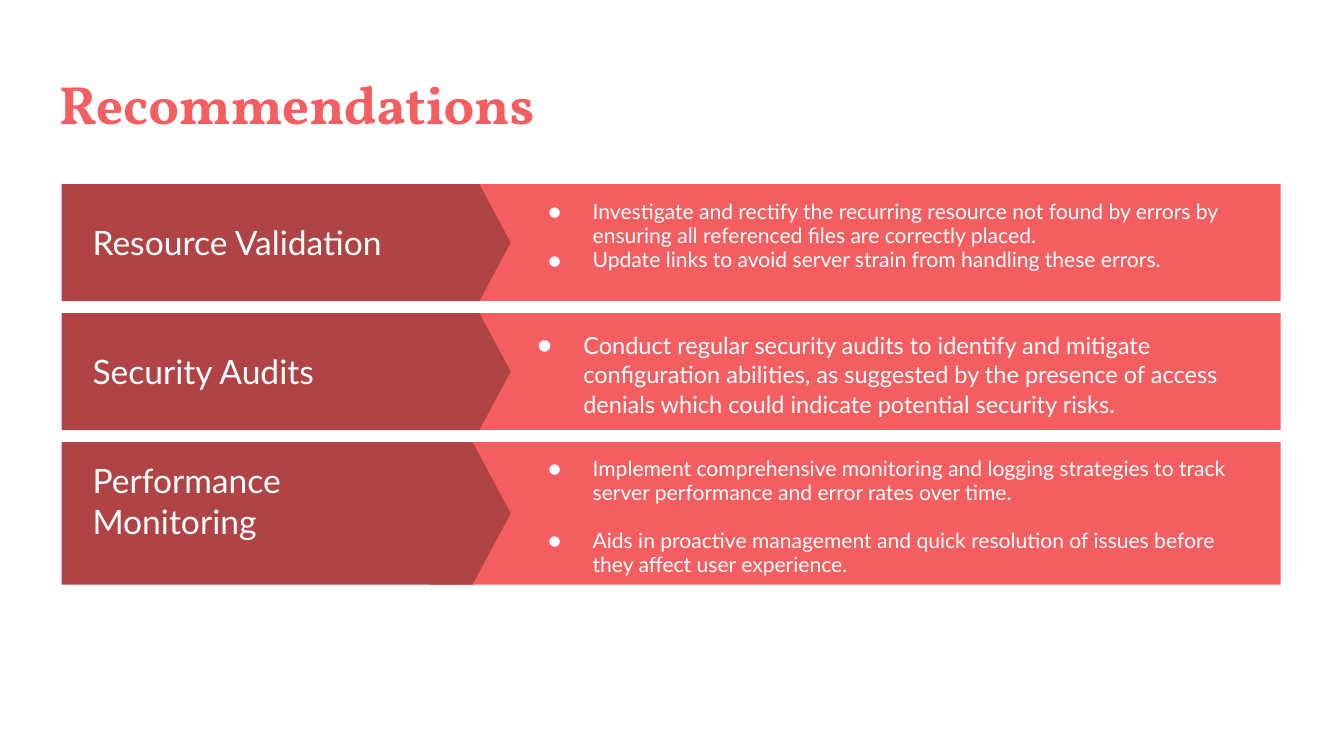
from lxml import etree
from pptx import Presentation, util as u
from pptx.dml.color import RGBColor
from pptx.enum import shapes, text
from pptx.oxml.ns import qn

# Content: label, points, row height and list format
TITLE = "Recommendations"
SMALL = {"size": 11.3, "line": 0.95, "hang": 0.33, "left": 3.81}
LARGE = {"size": 12.6, "line": 1.05, "hang": 0.34, "left": 3.74}
ROWS = [
    {"label": "Resource Validation", "height": 0.87, "list_height": 0.78,
     "gap": 0, "style": SMALL, "points": [
         "Investigate and rectify the recurring resource not found by errors by "
         "ensuring all referenced files are correctly placed.",
         "Update links to avoid server strain from handling these errors."]},
    {"label": "Security Audits", "height": 0.87, "list_height": 0.9,
     "gap": 0, "style": LARGE, "points": [
         "Conduct regular security audits to identify and mitigate configuration "
         "abilities, as suggested by the presence of access denials which could "
         "indicate potential security risks."]},
    {"label": "Performance Monitoring", "height": 1.06, "list_height": 1.12,
     "gap": 12.9, "style": SMALL, "points": [
         "Implement comprehensive monitoring and logging strategies to track "
         "server performance and error rates over time.",
         "Aids in proactive management and quick resolution of issues before "
         "they affect user experience."]},
]

# Grid: (left, width) of each column, in inches
SLIDE_WIDTH = 10
SLIDE_HEIGHT = SLIDE_WIDTH * 9 / 16
BAND, ARROW, LABEL = (3.2, 6.33), (0.46, 3.34), (0.59, 2.65)
LIST_WIDTH = 5.59
TOP, ROW_GAP, LABEL_HEIGHT = 1.37, 0.09, 0.87
CORAL, BRICK, WHITE = "F55E61", "AF4345", "FFFFFF"


def color(value):
    return RGBColor.from_string(value)


def inches(*values):
    return [u.Inches(v) for v in values]


def place(part, left, top, width, height):
    part.left, part.top, part.width, part.height = inches(left, top, width, height)


def set_frame(frame, anchor):
    values = {"word_wrap": True, "auto_size": text.MSO_AUTO_SIZE.NONE,
              "vertical_anchor": anchor}
    values.update({f"margin_{side}": u.Inches(0.1)
                   for side in ("left", "right", "top", "bottom")})
    for name, value in values.items():
        setattr(frame, name, value)


def write(paragraph, words, size, face="Lato", fill=WHITE, bold=False):
    paragraph.alignment = text.PP_ALIGN.LEFT
    run = paragraph.add_run()
    run.text = words
    for name, value in {"size": u.Pt(size), "name": face, "bold": bold}.items():
        setattr(run.font, name, value)
    run.font.color.rgb = color(fill)


def add_bullet(paragraph, hang):
    props = paragraph._p.get_or_add_pPr()
    props.set("marL", str(u.Inches(0.5)))
    props.set("indent", str(-u.Inches(hang)))
    tint = etree.SubElement(props, qn("a:buClr"))
    etree.SubElement(tint, qn("a:srgbClr"), val=WHITE)
    etree.SubElement(props, qn("a:buFont"), typeface="Lato")
    etree.SubElement(props, qn("a:buChar"), char="●")


def add_block(slide, kind, column, top, height, fill):
    left, width = column
    block = slide.shapes.add_shape(kind, *inches(left, top, width, height))
    block.shadow.inherit = False
    block.fill.solid()
    block.fill.fore_color.rgb = color(fill)
    block.line.fill.background()
    return block


def add_row(slide, body, row, top):
    # Coral band with the dark arrow over its left end
    add_block(slide, shapes.MSO_SHAPE.RECTANGLE, BAND, top, row["height"], CORAL)
    arrow = add_block(slide, shapes.MSO_SHAPE.PENTAGON, ARROW, top, row["height"], BRICK)
    arrow.adjustments[0] = 0.267

    # Label
    label = slide.shapes.add_textbox(*inches(LABEL[0], top, LABEL[1], LABEL_HEIGHT))
    set_frame(label.text_frame, text.MSO_ANCHOR.MIDDLE)
    write(label.text_frame.paragraphs[0], row["label"], 18)

    # Bulleted list, brought in front of the band
    style = row["style"]
    slide.shapes._spTree.append(body._element)
    place(body, style["left"], top, LIST_WIDTH, row["list_height"])
    frame = body.text_frame
    set_frame(frame, text.MSO_ANCHOR.MIDDLE)
    for i, point in enumerate(row["points"]):
        paragraph = frame.add_paragraph() if i else frame.paragraphs[0]
        paragraph.line_spacing = style["line"]
        paragraph.space_before = u.Pt(row["gap"] if i else 0)
        add_bullet(paragraph, style["hang"])
        write(paragraph, point, style["size"])


def main():
    deck = Presentation()
    deck.slide_width, deck.slide_height = inches(SLIDE_WIDTH, SLIDE_HEIGHT)
    slide = deck.slides.add_slide(deck.slide_layouts.get_by_name("Comparison"))

    # Title
    title, *bodies = slide.placeholders
    place(title, 0.34, 0.43, 9.32, 0.68)
    set_frame(title.text_frame, text.MSO_ANCHOR.TOP)
    write(title.text_frame.paragraphs[0], TITLE, 28.8, "Vollkorn", CORAL, True)

    # Rows, stacked with equal gaps
    top = TOP
    for row, body in zip(ROWS, bodies):
        add_row(slide, body, row, top)
        top += row["height"] + ROW_GAP

    # Unused placeholders
    for spare in bodies[len(ROWS):]:
        slide.shapes._spTree.remove(spare._element)
    deck.save("out.pptx")


if __name__ == "__main__":
    main()
